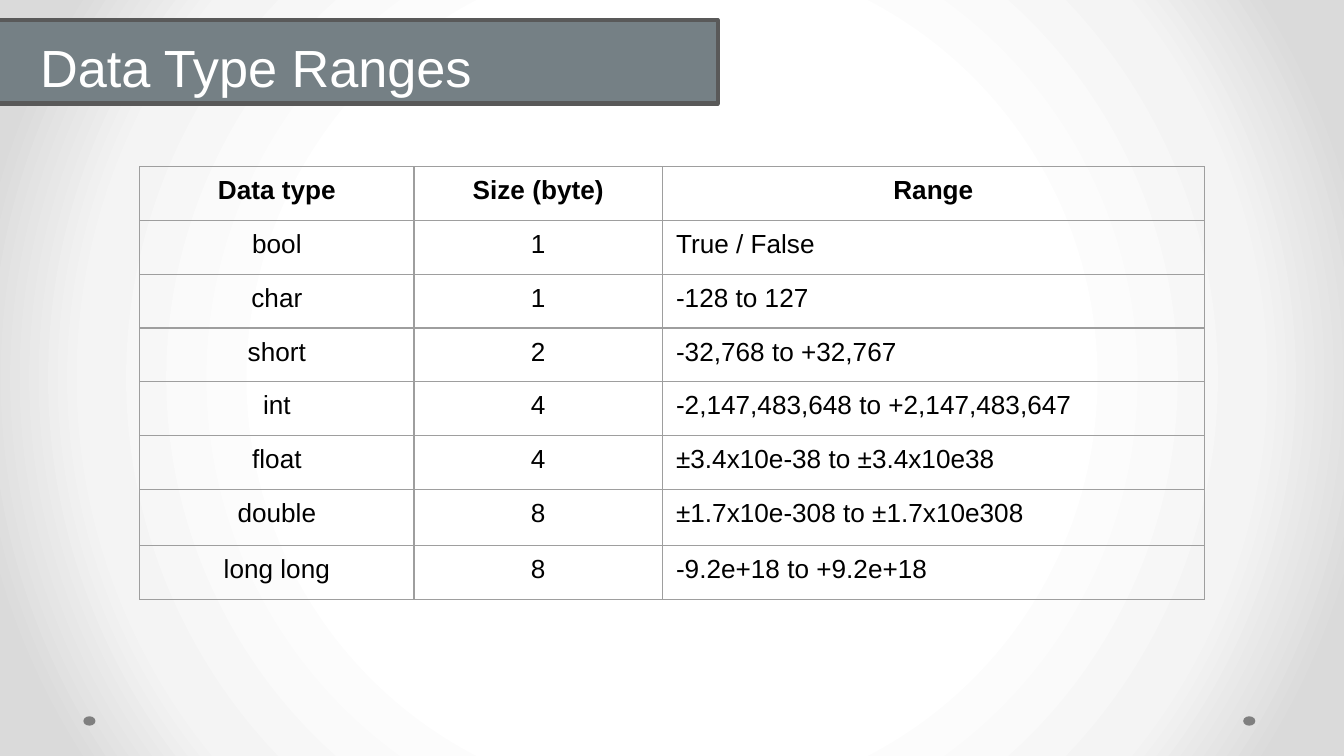
from pptx import Presentation
from pptx import util as u
from pptx.dml.color import RGBColor
from pptx.enum import shapes, text
from pptx.oxml import parse_xml
from pptx.oxml import ns

WHITE = RGBColor(0xFF, 0xFF, 0xFF)
BLACK = RGBColor(0, 0, 0)
SLATE = RGBColor(0x75, 0x80, 0x85)
CHARCOAL = RGBColor(0x59, 0x59, 0x59)
DOT_GREY = RGBColor(0x7F, 0x7F, 0x7F)
GRID_GREY = RGBColor(0x9E, 0x9E, 0x9E)
SILVER = RGBColor(0xF4, 0xF4, 0xF4)
EDGE_GREY = RGBColor(0xDA, 0xDA, 0xDA)
GLOW = [(0, WHITE), (50, WHITE), (76, SILVER), (92, EDGE_GREY), (100, EDGE_GREY)]

COLUMN_WIDTHS = [2.04, 1.85, 4.03]
ROW_HEIGHTS = [0.4] * 6 + [0.42, 0.4]
DATA_TYPES = [
    ("Data type", "Size (byte)", "Range"),
    ("bool", "1", "True / False"),
    ("char", "1", "-128 to 127"),
    ("short", "2", "-32,768 to +32,767"),
    ("int", "4", "-2,147,483,648 to +2,147,483,647"),
    ("float", "4", "±3.4x10e-38 to ±3.4x10e38"),
    ("double", "8", "±1.7x10e-308 to ±1.7x10e308"),
    ("long long", "8", "-9.2e+18 to +9.2e+18"),
]


def add_filled(kind, left, top, width, height, color):
    shape = slide.shapes.add_shape(kind, *map(u.Inches, (left, top, width, height)))
    shape.shadow.inherit = False
    shape.fill.solid()
    shape.fill.fore_color.rgb = color
    shape.line.fill.background()
    return shape


def write(paragraph, words, color, **font_format):
    run = paragraph.add_run()
    run.text = words
    run.font.color.rgb = color
    for name, value in {"name": "Arial", **font_format}.items():
        setattr(run.font, name, value)


prs = Presentation()
prs.slide_width = u.Inches(10)
prs.slide_height = u.Inches(10 * 9 / 16)
slide = prs.slides.add_slide(prs.slide_layouts[6])

# Radial background, white in the middle
slide.background.fill.solid()
plain_fill = next(slide.element.iter(ns.qn("a:solidFill")))
stops = "".join(
    f'<a:gs pos="{pos * 1000}"><a:srgbClr val="{color}"/></a:gs>' for pos, color in GLOW
)
plain_fill.getparent().replace(plain_fill, parse_xml(
    f'<a:gradFill {ns.nsdecls("a")} rotWithShape="1"><a:gsLst>{stops}</a:gsLst>'
    '<a:path path="circle"><a:fillToRect l="50000" t="50000" r="50000" b="50000"/></a:path>'
    "</a:gradFill>"
))

for dot_left in (9.25, 0.62):
    add_filled(shapes.MSO_SHAPE.OVAL, dot_left, 5.33, 0.09, 0.07, DOT_GREY)

# Title on its band
band = add_filled(shapes.MSO_SHAPE.RECTANGLE, -0.08, 0.15, 5.42, 0.62, SLATE)
band.line.color.rgb = CHARCOAL
band.line.width = u.Pt(2.25)

title = slide.shapes.add_textbox(
    u.Inches(0.2), u.Inches(0.21), u.Inches(3.62), u.Inches(0.43)
).text_frame
title.word_wrap = True
write(title.paragraphs[0], "Data Type Ranges", WHITE, size=u.Pt(28))

# Table of data types
ranges = slide.shapes.add_table(
    len(DATA_TYPES), len(COLUMN_WIDTHS), u.Inches(1.04), u.Inches(1.24),
    u.Inches(sum(COLUMN_WIDTHS)), u.Inches(sum(ROW_HEIGHTS)),
).table
ranges.first_row = ranges.horz_banding = False
for column, width in zip(ranges.columns, COLUMN_WIDTHS):
    column.width = u.Inches(width)
for row, height in zip(ranges.rows, ROW_HEIGHTS):
    row.height = u.Inches(height)

cell_format = {
    "margin_left": u.Inches(0.1), "margin_right": u.Inches(0.1),
    "margin_top": u.Inches(0.07), "margin_bottom": u.Inches(0.07),
    "vertical_anchor": text.MSO_ANCHOR.TOP,
}
for r, entry in enumerate(DATA_TYPES):
    for c, words in enumerate(entry):
        cell = ranges.cell(r, c)
        for name, value in cell_format.items():
            setattr(cell, name, value)
        paragraph = cell.text_frame.paragraphs[0]
        is_range = r > 0 and c == 2
        paragraph.alignment = text.PP_ALIGN.LEFT if is_range else text.PP_ALIGN.CENTER
        write(paragraph, words, BLACK, size=u.Pt(14), bold=r == 0)
        cell_properties = cell._tc.get_or_add_tcPr()
        for side in ("lnL", "lnR", "lnT", "lnB"):
            cell_properties.append(parse_xml(
                f'<a:{side} {ns.nsdecls("a")} w="{u.Pt(0.75)}"><a:solidFill>'
                f'<a:srgbClr val="{GRID_GREY}"/></a:solidFill></a:{side}>'
            ))
        cell.fill.background()

prs.save("out.pptx")
